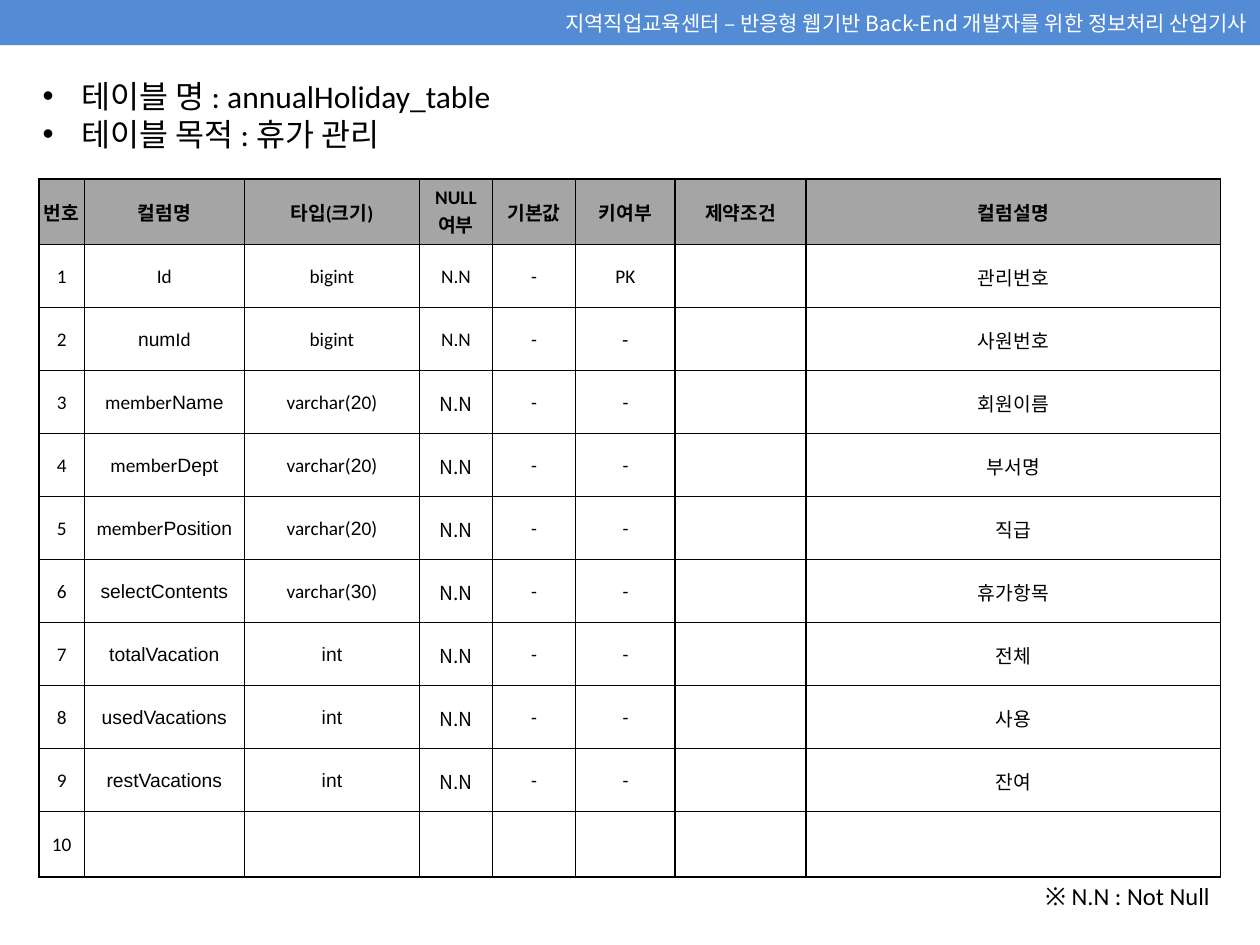
"""Build the column definition slide of the annual holiday table."""
from lxml import etree
from pptx import Presentation
from pptx.dml.color import RGBColor
from pptx.enum import shapes, text
from pptx.oxml import ns
from pptx.util import Inches, Pt

BLUE = RGBColor(0x53, 0x8C, 0xD5)
GRAY = RGBColor(0xA5, 0xA5, 0xA5)
BLACK = RGBColor(0, 0, 0)
WHITE = RGBColor(255, 255, 255)
CALIBRI, ARIAL, NOTO = "Calibri", "Arial", "Noto Sans CJK KR"

COLUMN_WIDTHS = [0.36, 1.27, 1.39, 0.58, 0.66, 0.79, 1.04, 3.29]
HEADINGS = ["번호", "컬럼명", "타입(크기)", "NULL 여부", "기본값", "키여부", "제약조건", "컬럼설명"]


def child(parent, tag, **attributes):
    """Append a DrawingML element to its parent."""
    return etree.SubElement(parent, ns.qn(tag), attributes)


def add_run(paragraph, words, size, font=CALIBRI, color=BLACK, bold=False):
    """Add one formatted run, with a Korean font for its Hangul."""
    run = paragraph.add_run()
    run.text = words
    run.font.size, run.font.name, run.font.bold = Pt(size), font, bold
    run.font.color.rgb = color
    child(run.font._element, "a:ea", typeface=NOTO)


def add_banner(slide, words):
    """Add the blue band across the top."""
    banner = slide.shapes.add_shape(
        shapes.MSO_SHAPE.RECTANGLE, 0, 0, Inches(10), Inches(0.36))
    banner.shadow.inherit = False
    banner.fill.solid()
    banner.fill.fore_color.rgb = BLUE
    banner.line.fill.background()
    banner.text_frame.vertical_anchor = text.MSO_ANCHOR.MIDDLE
    paragraph = banner.text_frame.paragraphs[0]
    paragraph.alignment = text.PP_ALIGN.RIGHT
    add_run(paragraph, words, 12, NOTO, WHITE)


def add_bullet(paragraph):
    """Give a paragraph a black hanging bullet."""
    properties = paragraph._p.get_or_add_pPr()
    properties.set("marL", str(Inches(0.31)))
    properties.set("indent", str(Inches(-0.31)))
    child(child(properties, "a:buClr"), "a:srgbClr", val=str(BLACK))
    child(properties, "a:buFont", typeface=ARIAL)
    child(properties, "a:buChar", char="•")


def add_text(slide, box, lines, size, align=text.PP_ALIGN.LEFT, bulleted=False):
    """Add a text box with one paragraph per line."""
    frame = slide.shapes.add_textbox(*map(Inches, box)).text_frame
    frame.word_wrap = True
    frame.auto_size = text.MSO_AUTO_SIZE.SHAPE_TO_FIT_TEXT
    for index, line in enumerate(lines):
        paragraph = frame.add_paragraph() if index else frame.paragraphs[0]
        paragraph.alignment = align
        if bulleted:
            add_bullet(paragraph)
        add_run(paragraph, line, size)


def arial(words):
    """Pair words with Arial."""
    return words, ARIAL


def varchar(tens):
    """Return the runs of a varchar type sized in tens."""
    return ["varchar(", arial(tens), "0)"]


def column_rows():
    """Return the body rows, each cell a list of runs."""
    rows = [
        [["1"], ["Id"], ["bigint"], ["N.N"], ["-"], ["PK"], [], [arial("관리"), "번호"]],
        [["2"], [arial("num"), "Id"], ["bigint"], ["N.N"], ["-"], [arial("-")], [],
         [arial("사원"), "번호"]],
    ]
    integer = [arial("int")]
    columns = [
        (["member", arial("Name")], varchar("2"), "회원이름"),
        (["member", arial("Dept")], varchar("2"), "부서명"),
        (["member", arial("Position")], varchar("2"), "직급"),
        ([arial("selectContents")], varchar("3"), "휴가항목"),
        ([arial("totalVacation")], integer, "전체"),
        ([arial("usedVacations")], integer, "사용"),
        ([arial("restVacations")], integer, "잔여"),
    ]
    for number, (name, kind, meaning) in enumerate(columns, 3):
        rows.append([[str(number)], name, kind, [("N.N", NOTO)], ["-"], ["-"], [],
                     [arial(meaning)]])
    return rows + [[["10"]] + [[]] * 7]


def fill_cell(cell, runs, heading):
    """Write, fill and border one cell."""
    cell.margin_left = cell.margin_right = cell.margin_top = Inches(0.01)
    cell.margin_bottom = 0
    cell.vertical_anchor = text.MSO_ANCHOR.MIDDLE
    paragraph = cell.text_frame.paragraphs[0]
    paragraph.alignment = text.PP_ALIGN.CENTER
    for run in runs:
        words, font = (run, CALIBRI) if isinstance(run, str) else run
        add_run(paragraph, words, 11, font, bold=heading)
    properties = cell._tc.get_or_add_tcPr()
    for side in ("a:lnL", "a:lnR", "a:lnT", "a:lnB"):
        border = child(properties, side, w=str(Pt(1)))
        child(child(border, "a:solidFill"), "a:srgbClr", val=str(BLACK))
    if heading:
        cell.fill.solid()
        cell.fill.fore_color.rgb = GRAY
    else:
        cell.fill.background()


def add_definition_table(slide):
    """Add the table that defines each column."""
    rows = [[[heading] for heading in HEADINGS]] + column_rows()
    table = slide.shapes.add_table(
        len(rows), len(HEADINGS), Inches(0.31), Inches(1.42),
        Inches(sum(COLUMN_WIDTHS)), Inches(5.54)).table
    for column, width in zip(table.columns, COLUMN_WIDTHS):
        column.width = Inches(width)
    for index, row in enumerate(rows):
        table.rows[index].height = Inches(0.52 if index in (0, len(rows) - 1) else 0.5)
        for position, runs in enumerate(row):
            fill_cell(table.cell(index, position), runs, index == 0)


def main():
    """Build and save the slide."""
    deck = Presentation()
    deck.slide_width, deck.slide_height = Inches(10), Inches(7.5)
    slide = deck.slides.add_slide(deck.slide_layouts[6])
    add_banner(slide, "지역직업교육센터 – 반응형 웹기반 Back-End 개발자를 위한 정보처리 산업기사")
    add_text(slide, (0.24, 0.56, 9.49, 0.71),
             ["테이블 명 : annualHoliday_table", "테이블 목적 : 휴가 관리"], 18, bulleted=True)
    add_definition_table(slide)
    add_text(slide, (8.15, 6.94, 1.55, 0.34), ["※ N.N : Not Null"], 14,
             text.PP_ALIGN.RIGHT)
    deck.save("out.pptx")


if __name__ == "__main__":
    main()
